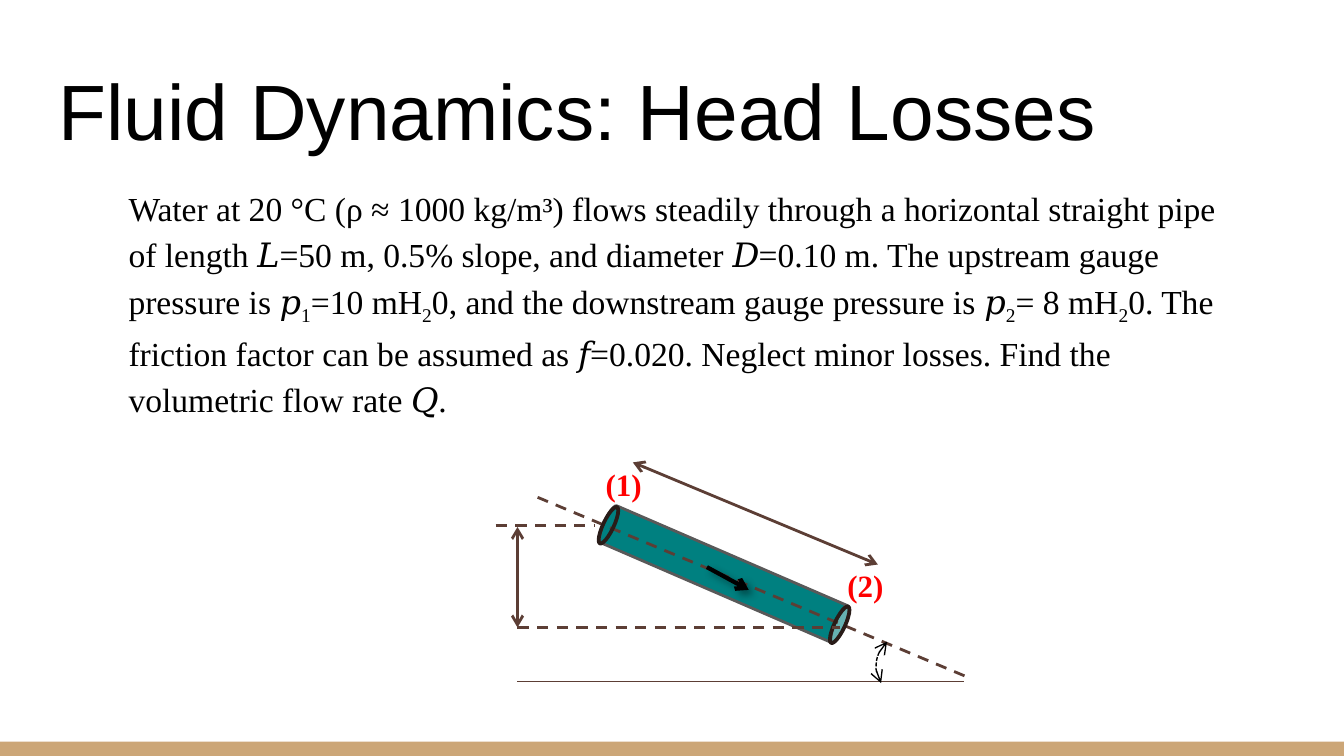
from lxml.etree import SubElement
from pptx import Presentation
from pptx.dml.color import RGBColor
from pptx.enum.dml import MSO_LINE
from pptx.enum.shapes import MSO_CONNECTOR, MSO_SHAPE
from pptx.enum.text import MSO_ANCHOR, PP_ALIGN
from pptx.oxml.ns import qn
from pptx.util import Cm, Pt

BROWN, BLACK, RED = "5C3E35", "000000", "FF0000"
SERIF = "Times New Roman"

TITLE = "Fluid Dynamics: Head Losses"
# Every second part is a subscript.
PROBLEM = [
    "Water at 20 °C (ρ ≈ 1000 kg/m³) flows steadily through a horizontal straight pipe "
    "of length 𝐿=50 m, 0.5% slope, and diameter 𝐷=0.10 m. The upstream gauge pressure is 𝑝",
    "1", "=10 mH", "2", "0, and the downstream gauge pressure is 𝑝", "2", "= 8 mH", "2",
    "0. The friction factor can be assumed as 𝑓=0.020. Neglect minor losses. "
    "Find the volumetric flow rate 𝑄.",
]
STATIONS = [("(1)", 10.44, 8.61), ("(2)", 15.01, 10.52)]
PIPE_ENDS = [(15.77, 11.43), (11.4, 9.55)]

AXIS = ((10.16, 9.4), (18.36, 12.83))
FLOW = ((13.36, 10.72), (14.15, 11.15))
LENGTH = ((11.96, 8.74), (16.59, 10.67))
UPPER_LEVEL = ((9.37, 9.93), (11.25, 9.93))
DROP = ((9.78, 9.96), (9.78, 11.86))
LOWER_LEVEL = ((9.78, 11.86), (15.88, 11.86))
GROUND = ((9.78, 12.88), (18.21, 12.88))


def color(code):
    return RGBColor.from_string(code)


def stroke(part, code, width, dash=None, ends=()):
    part.line.color.rgb = color(code)
    part.line.width = Pt(width)
    if dash:
        part.line.dash_style = dash
    outline = part.element.spPr.find(qn("a:ln"))
    for end in ends:
        SubElement(outline, qn(f"a:{end}End"), type="arrow")


def add_line(points, code=BROWN, width=1.5, dash=None, ends=()):
    (x1, y1), (x2, y2) = points
    line = slide.shapes.add_connector(
        MSO_CONNECTOR.STRAIGHT, Cm(x1), Cm(y1), Cm(x2), Cm(y2))
    stroke(line, code, width, dash, ends)
    return SubElement(line.element.spPr, qn("a:effectLst"))


def add_solid(kind, x, y, width, height, fill=None, rotation=0):
    solid = slide.shapes.add_shape(kind, Cm(x), Cm(y), Cm(width), Cm(height))
    solid.shadow.inherit = False
    solid.rotation = rotation
    if fill:
        solid.fill.solid()
        solid.fill.fore_color.rgb = color(fill)
    else:
        solid.fill.background()
    return solid


def write(box, parts, size, font=SERIF, code=BLACK, bold=False, spacing=1.0,
          indent=0, align=PP_ALIGN.LEFT, anchor=MSO_ANCHOR.TOP):
    frame = box.text_frame
    frame.word_wrap = True
    frame.vertical_anchor = anchor
    frame.margin_left = frame.margin_right = Cm(0.25)
    frame.margin_top = frame.margin_bottom = Cm(0.25)
    paragraph = frame.paragraphs[0]
    paragraph.alignment = align
    paragraph.line_spacing = spacing
    properties = paragraph._p.get_or_add_pPr()
    properties.set("marL", str(Cm(indent)))
    properties.set("indent", "0")
    for index, part in enumerate(parts):
        run = paragraph.add_run()
        run.text = part
        run.font.name = font
        run.font.size = Pt(size)
        run.font.bold = bold
        run.font.color.rgb = color(code)
        if index % 2:
            run._r.get_or_add_rPr().set("baseline", "-25000")


def add_text(parts, x, y, width, height, **style):
    box = slide.shapes.add_textbox(Cm(x), Cm(y), Cm(width), Cm(height))
    write(box, parts, **style)


deck = Presentation()
deck.slide_width, deck.slide_height = Cm(25.4), Cm(14.29)
slide = deck.slides.add_slide(deck.slide_layouts[5])

title = slide.shapes.title
title.left, title.top, title.width, title.height = Cm(0.86), Cm(0.89), Cm(23.67), Cm(2.31)
write(title, [TITLE], 42, font="Arial", anchor=MSO_ANCHOR.BOTTOM)

footer = add_solid(MSO_SHAPE.RECTANGLE, 0, 14.02, 25.4, 0.27, "CCA677")
footer.line.fill.background()

add_text(PROBLEM, 1.88, 3.18, 21.82, 7.59, size=18, spacing=1.15, indent=0.3)

pipe = add_solid(MSO_SHAPE.CAN, 13.31, 8.38, 0.76, 4.95, "008080", 113.4)
stroke(pipe, "595959", 1.5)
add_line(AXIS, dash=MSO_LINE.DASH)
for x, y in PIPE_ENDS:
    stroke(add_solid(MSO_SHAPE.OVAL, x, y, 0.2, 0.76, rotation=25.2), "291C18", 2)

flow_effects = add_line(FLOW, BLACK, 2.25, ends=["tail"])
shadow = SubElement(flow_effects, qn("a:outerShdw"), blurRad=str(Pt(4)),
                    dist=str(Pt(3)), dir="2700000", rotWithShape="0")
shade = SubElement(shadow, qn("a:srgbClr"), val=BLACK)
SubElement(shade, qn("a:alpha"), val="40000")

both = ["head", "tail"]
for points in (LENGTH, DROP):
    add_line(points, ends=both)
for points in (UPPER_LEVEL, LOWER_LEVEL):
    add_line(points, dash=MSO_LINE.DASH)
add_line(GROUND, width=0.75)

slope = add_solid(MSO_SHAPE.ARC, 16.59, 11.91, 1.22, 1.3, rotation=242.3)
slope.adjustments[0], slope.adjustments[1] = 159.02, 205.47
stroke(slope, BLACK, 0.75, MSO_LINE.SQUARE_DOT, both)

for station, x, y in STATIONS:
    add_text([station], x, y, 2.39, 1.22, size=16.6, code=RED, bold=True,
             spacing=0.95, indent=0.3, align=PP_ALIGN.CENTER)

deck.save("out.pptx")
